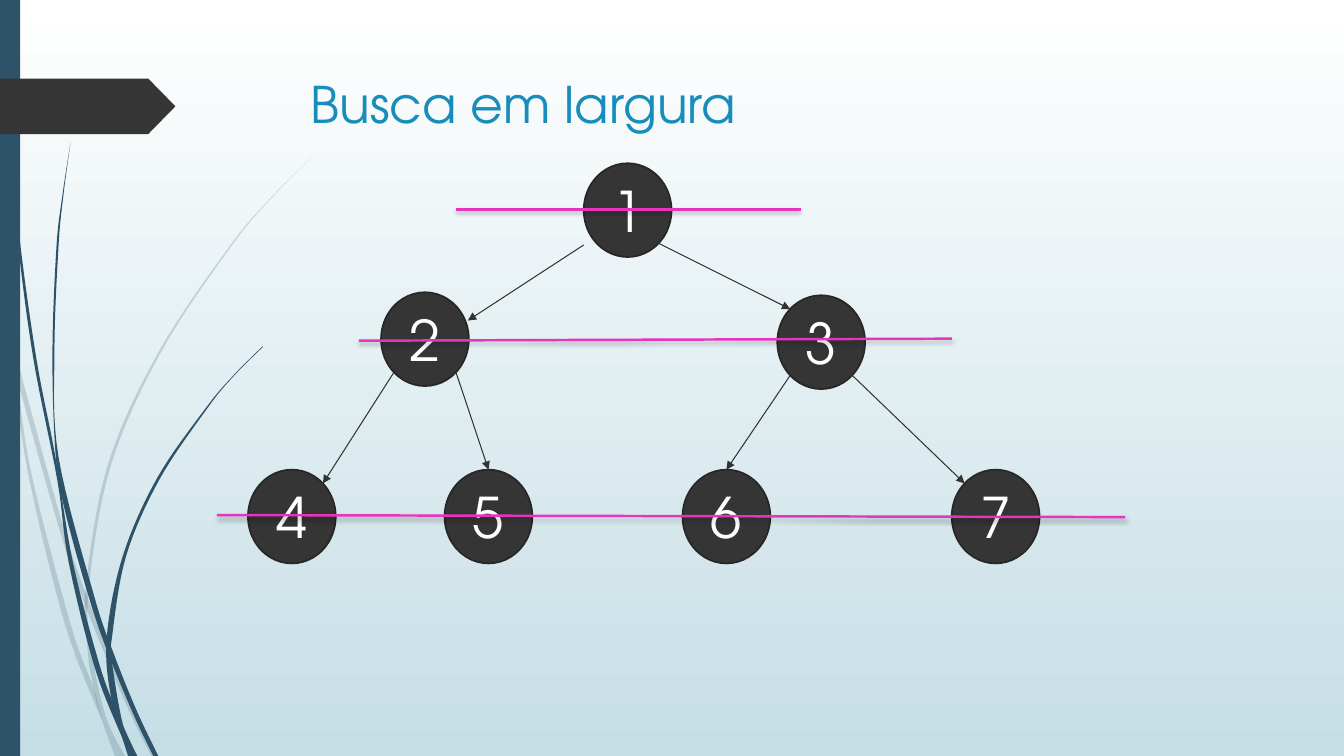
from dataclasses import dataclass
from math import sqrt

from lxml.etree import SubElement
from pptx import Presentation
from pptx.dml.color import RGBColor
from pptx.enum.shapes import MSO_CONNECTOR, MSO_SHAPE
from pptx.enum.text import MSO_ANCHOR as Anchor, MSO_AUTO_SIZE as AutoSize, PP_ALIGN as Align
from pptx.oxml.ns import qn
from pptx.util import Inches, Pt


@dataclass(frozen=True)
class Theme:
    font: str = "TeX Gyre Adventor"
    title_size: int = 36
    node_size: int = 40
    title: str = "178DBB"
    sky_top: str = "FFFFFF"
    sky_bottom: str = "C5DEE5"
    accent: str = "2E5369"
    dark: str = "353535"
    node_line: str = "272727"
    node_text: str = "FFFFFF"
    arrow: str = "333333"
    level: str = "E833BF"


NODE_W, NODE_H = 0.87, 0.93
NODES = {
    "1": (5.79, 1.62), "2": (3.78, 2.9), "3": (7.71, 2.93),
    "4": (2.46, 4.66), "5": (4.41, 4.66), "6": (6.77, 4.66), "7": (9.44, 4.66),
}
DIAGONAL = 1 / sqrt(2)
TOP = (0, -1)
TOP_LEFT, TOP_RIGHT = (-DIAGONAL, -DIAGONAL), (DIAGONAL, -DIAGONAL)
BOTTOM_LEFT, BOTTOM_RIGHT = (-DIAGONAL, DIAGONAL), (DIAGONAL, DIAGONAL)
EDGES = [
    ("1", BOTTOM_RIGHT, "3", TOP_LEFT), ("3", BOTTOM_RIGHT, "7", TOP_LEFT),
    ("3", BOTTOM_LEFT, "6", TOP), ("2", BOTTOM_RIGHT, "5", TOP),
    ("2", BOTTOM_LEFT, "4", TOP_RIGHT),
]
FREE_EDGE = ((5.79, 2.43), (4.64, 3.18))
LEVELS = [
    ((4.52, 2.08), (7.94, 2.08)),
    ((3.56, 3.38), (9.44, 3.36)),
    ((2.15, 5.11), (11.16, 5.13)),
]
# Each blade of grass is a left edge and a right edge, both from tip to root.
FAINT_BLADES = [
    ([(0, 2.99), (0.11, 3.5), (0.17, 3.76), (0.58, 5.22), (0.84, 5.99), (1.23, 6.94), (1.5, 7.5)],
     [(0, 2.82), (0.09, 3.22), (0.14, 3.45), (0.62, 5.2), (0.92, 6.07), (1.27, 6.92), (1.55, 7.5)]),
    ([(0.11, 3.5), (0.28, 4.7), (0.65, 6.21), (1.01, 7.14)],
     [(0.11, 3.5), (0.17, 3.76), (0.31, 4.69), (0.7, 6.19), (0.93, 6.83), (1.01, 7.14)]),
    ([(3.12, 1.53), (2.68, 1.97), (2.28, 2.44), (1.58, 3.48), (1.07, 4.61), (0.85, 5.84),
      (0.87, 6.46), (0.93, 6.83), (1.01, 7.14), (1.14, 7.5)],
     [(3.12, 1.53), (2.68, 1.98), (2.29, 2.45), (1.6, 3.49), (1.1, 4.62), (0.88, 5.84),
      (0.91, 6.46), (1.05, 7.11), (1.24, 7.5)]),
]
DARK_BLADES = [
    ([(0.03, 0), (0.07, 1.1), (0.17, 2.33), (0.33, 3.55), (0.57, 4.77), (0.68, 5.57),
      (0.93, 6.59), (1.17, 7.22), (1.31, 7.5)],
     [(0.04, 0), (0.08, 1.09), (0.19, 2.32), (0.36, 3.55), (0.55, 4.53), (0.72, 5.56),
      (0.98, 6.57), (1.16, 7.06), (1.36, 7.5)]),
    ([(0.7, 1.41), (0.62, 1.93), (0.56, 2.45), (0.52, 3.49), (0.55, 4.49), (0.64, 5.05),
      (0.88, 5.92), (1.06, 6.45), (1.32, 7.08), (1.52, 7.5)],
     [(0.7, 1.41), (0.63, 1.93), (0.58, 2.45), (0.54, 3.49), (0.58, 4.53), (0.93, 5.9),
      (1.13, 6.49), (1.36, 7.06), (1.57, 7.5)]),
    ([(2.6, 3.44), (2.31, 3.73), (2.04, 4.05), (1.56, 4.74), (1.22, 5.51), (1.06, 6.31),
      (1.1, 6.91), (1.27, 7.5)],
     [(2.61, 3.44), (2.31, 3.74), (2.05, 4.06), (1.58, 4.76), (1.25, 5.52), (1.11, 6.33),
      (1.11, 6.56), (1.22, 7.19), (1.36, 7.5)]),
]


def rgb(code):
    return RGBColor.from_string(code)


def smooth(points, steps=8):
    """Return points on a Catmull-Rom curve through the given ones."""
    padded = [points[0], *points, points[-1]]
    curve = [points[0]]
    for a, b, c, d in zip(padded, padded[1:], padded[2:], padded[3:]):
        for step in range(1, steps + 1):
            t = step / steps
            curve.append(tuple(
                0.5 * (2 * q + (r - p) * t + (2 * p - 5 * q + 4 * r - s) * t ** 2
                       + (3 * q - p - 3 * r + s) * t ** 3)
                for p, q, r, s in zip(a, b, c, d)))
    return curve


def node_point(name, direction):
    """Return the point on a node's rim in the given direction."""
    left, top = NODES[name]
    return (left + NODE_W / 2 * (1 + direction[0]), top + NODE_H / 2 * (1 + direction[1]))


class SlideBuilder:
    def __init__(self, page, theme):
        self.page = page
        self.theme = theme

    def background(self):
        fill = self.page.background.fill
        fill.gradient()
        fill.gradient_angle = 270
        for stop, color in zip(fill.gradient_stops, (self.theme.sky_top, self.theme.sky_bottom)):
            stop.color.rgb = rgb(color)

    def paint(self, shape, color, line=None):
        shape.shadow.inherit = False
        shape.fill.solid()
        shape.fill.fore_color.rgb = rgb(color)
        if line:
            shape.line.color.rgb = rgb(line)
            shape.line.width = Pt(1.25)
        else:
            shape.line.fill.background()

    def shape(self, kind, left, top, width, height, color, line=None):
        shape = self.page.shapes.add_shape(
            kind, Inches(left), Inches(top), Inches(width), Inches(height))
        self.paint(shape, color, line)
        return shape

    def blade(self, left_edge, right_edge, opacity=100):
        outline = [(Inches(x), Inches(y))
                   for x, y in smooth(left_edge) + smooth(right_edge)[::-1]]
        builder = self.page.shapes.build_freeform(*outline[0])
        builder.add_line_segments(outline[1:], close=True)
        shape = builder.convert_to_shape()
        self.paint(shape, self.theme.accent)
        if opacity < 100:
            color = shape._element.spPr.find(qn("a:solidFill"))[0]
            SubElement(color, qn("a:alpha"), val=str(opacity * 1000))

    def set_text(self, shape, text, size, color, align, anchor):
        frame = shape.text_frame
        frame.text = text
        frame.auto_size = AutoSize.NONE
        frame.vertical_anchor = anchor
        para = frame.paragraphs[0]
        para.alignment = align
        font = para.runs[0].font
        font.name, font.size, font.color.rgb = self.theme.font, Pt(size), rgb(color)

    def title(self, text):
        box = self.page.shapes.title
        box.left, box.top, box.width, box.height = map(Inches, (2.84, 0.68, 9.75, 1.4))
        self.set_text(box, text, self.theme.title_size, self.theme.title, Align.LEFT, Anchor.TOP)
        box.text_frame.margin_left = Inches(0.24)

    def node(self, name, left, top):
        circle = self.shape(MSO_SHAPE.OVAL, left, top, NODE_W, NODE_H,
                            self.theme.dark, self.theme.node_line)
        self.set_text(circle, name, self.theme.node_size, self.theme.node_text,
                      Align.CENTER, Anchor.MIDDLE)

    def line(self, start, end, color, width):
        """Draw a straight line and return it with its empty effect list."""
        line = self.page.shapes.add_connector(
            MSO_CONNECTOR.STRAIGHT, *map(Inches, (*start, *end)))
        line.line.color.rgb = rgb(color)
        line.line.width = Pt(width)
        return line, SubElement(line._element.spPr, qn("a:effectLst"))

    def arrow(self, start, end):
        line, _ = self.line(start, end, self.theme.arrow, 0.75)
        SubElement(line._element.spPr.find(qn("a:ln")), qn("a:tailEnd"), type="triangle")

    def level(self, start, end):
        _, effects = self.line(start, end, self.theme.level, 1.75)
        shadow = SubElement(effects, qn("a:outerShdw"), blurRad=str(Pt(3)), dist=str(Pt(2)),
                            dir="5400000", rotWithShape="0")
        color = SubElement(shadow, qn("a:srgbClr"), val="000000")
        SubElement(color, qn("a:alpha"), val="25000")


def main():
    deck = Presentation()
    deck.slide_width, deck.slide_height = Inches(13.33), Inches(7.5)
    theme = Theme()
    slide = SlideBuilder(deck.slides.add_slide(deck.slide_layouts[5]), theme)
    slide.background()
    for edges in FAINT_BLADES:
        slide.blade(*edges, opacity=20)
    for edges in DARK_BLADES:
        slide.blade(*edges)
    slide.shape(MSO_SHAPE.RECTANGLE, 0, 0, 0.2, 7.5, theme.accent)
    tab = slide.shape(MSO_SHAPE.PENTAGON, 0, 0.78, 1.74, 0.55, theme.dark)
    tab.adjustments[0] = 0.49
    slide.title("Busca em largura")
    for name, corner in NODES.items():
        slide.node(name, *corner)
    slide.arrow(*FREE_EDGE)
    for parent, leave, child, reach in EDGES:
        slide.arrow(node_point(parent, leave), node_point(child, reach))
    for ends in LEVELS:
        slide.level(*ends)
    deck.save("out.pptx")


if __name__ == "__main__":
    main()
